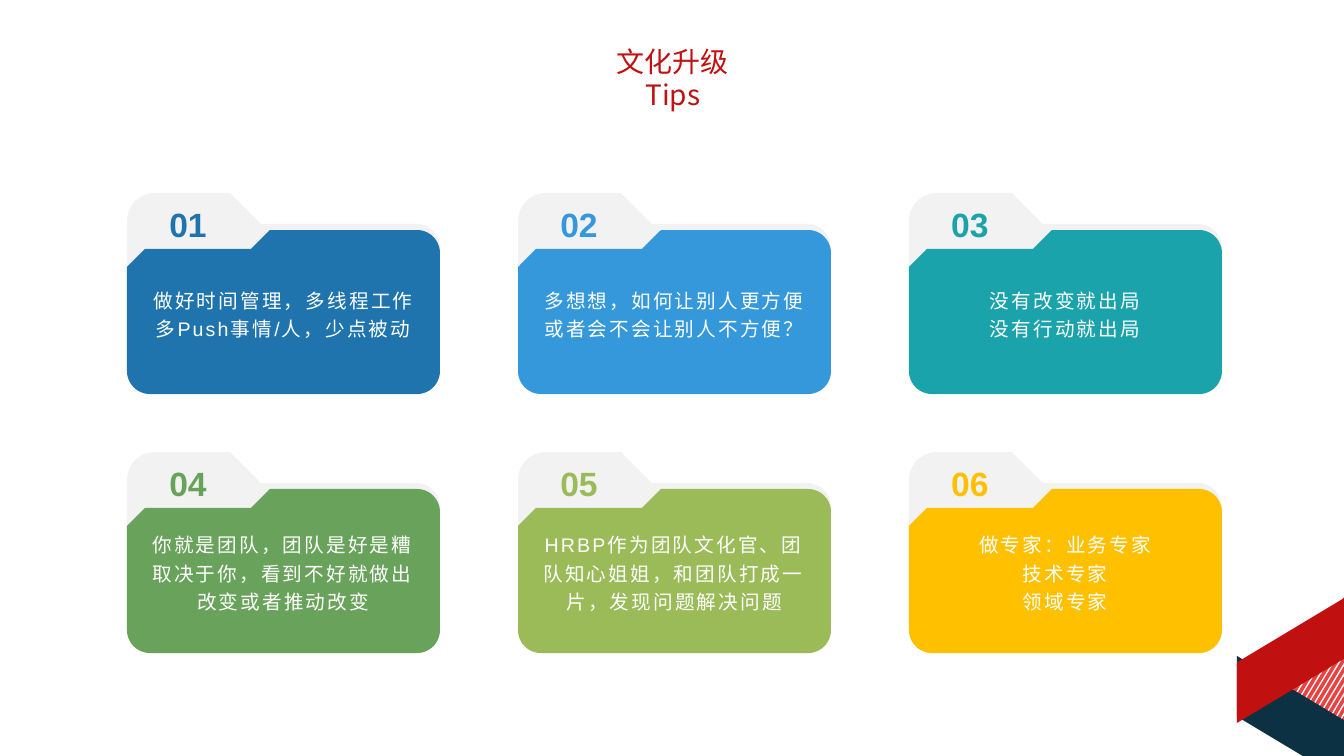
import math

import lxml.etree
import pptx
import pptx.dml.color
import pptx.enum.shapes
import pptx.enum.text
import pptx.oxml.ns
import pptx.util

TITLE = "文化升级\vTips"
TIPS = [
    ("01", "1F74AD", "做好时间管理，多线程工作\n多Push事情/人，少点被动"),
    ("02", "3498DB", "多想想，如何让别人更方便\n或者会不会让别人不方便？"),
    ("03", "1AA3AA", "没有改变就出局\n没有行动就出局"),
    ("04", "69A35B", "你就是团队，团队是好是糟取决于你，看到不好就做出改变或者推动改变"),
    ("05", "9BBB59", "HRBP作为团队文化官、团队知心姐姐，和团队打成一片，发现问题解决问题"),
    ("06", "FFC000", "做专家：业务专家\n技术专家\n领域专家"),
]
RED, NAVY, STRIPE, FOLDER = "C01010", "0C3143", "E84242", "F2F2F2"
LATIN, CJK = "Arial", "Noto Sans CJK SC"

SLIDE_WIDTH, SLIDE_HEIGHT = 1344, 756
COLUMNS = 3
FOLDER_LEFT, FOLDER_TOP = 127, 193
COLUMN_PITCH, ROW_PITCH = 391, 259
BACK = [(0, 0, 28), (103, 0, 0), (134, 31, 0), (313, 31, 24), (313, 201, 23), (0, 201, 23)]
FRONT = [(0, 74, 0), (18, 56, 0), (124, 56, 0), (143, 37, 0),
         (313, 37, 23), (313, 201, 23), (0, 201, 23)]
NUMBER_BOX = (0, 0, 122, 54)
BODY_BOX = (8, 67, 296, 104)
STRIPES = 13
BANDS = [(NAVY, 656, False), (RED, 591, True)]


def px(length):
    return pptx.util.Emu(round(length * 914400 / 100.8))


def color(value):
    return pptx.dml.color.RGBColor.from_string(value)


def paint(shape, fill, line=None):
    shape.shadow.inherit = False
    shape.fill.solid()
    shape.fill.fore_color.rgb = color(fill)
    if line:
        shape.line.color.rgb = color(line)
        shape.line.width = pptx.util.Pt(1)
    else:
        shape.line.fill.background()


def rounded(corners):
    points = []
    for index, (x, y, radius) in enumerate(corners):
        if not radius:
            points.append((x, y))
            continue
        before, after = corners[index - 1], corners[(index + 1) % len(corners)]
        back, ahead = (
            ((end[0] - x) / math.dist(end[:2], (x, y)), (end[1] - y) / math.dist(end[:2], (x, y)))
            for end in (before, after)
        )
        for step in range(13):
            turn = math.pi / 2 * step / 12
            near, far = radius * (1 - math.sin(turn)), radius * (1 - math.cos(turn))
            points.append((x + back[0] * near + ahead[0] * far,
                           y + back[1] * near + ahead[1] * far))
    return points


def outline(points, fill, left=0, top=0, line=None):
    corners = [(px(left + x), px(top + y)) for x, y in points]
    builder = slide.shapes.build_freeform(*corners[0], scale=1.0)
    builder.add_line_segments(corners[1:], close=True)
    paint(builder.convert_to_shape(), fill, line)


def write(shape, text, *, size, fill, font=LATIN, bold=False, spacing=None,
          leading=1.2, anchor=pptx.enum.text.MSO_ANCHOR.MIDDLE, wrap=True):
    frame = shape.text_frame
    frame.auto_size = pptx.enum.text.MSO_AUTO_SIZE.NONE
    frame.word_wrap = wrap
    frame.vertical_anchor = anchor
    frame.text = text
    for paragraph in frame.paragraphs:
        paragraph.alignment = pptx.enum.text.PP_ALIGN.CENTER
        paragraph.line_spacing = leading
        paragraph.space_before = pptx.util.Pt(0)
        for run in paragraph.runs:
            run.font.size = pptx.util.Pt(size)
            run.font.bold = bold
            run.font.color.rgb = color(fill)
            run.font.name = font
            properties = run.font._element
            east_asian = lxml.etree.SubElement(properties, pptx.oxml.ns.qn("a:ea"))
            east_asian.set("typeface", CJK)
            if spacing:
                properties.set("spc", str(round(spacing * 100)))


def text_box(box, left, top, text, **style):
    x, y, width, height = box
    shape = slide.shapes.add_textbox(px(left + x), px(top + y), px(width), px(height))
    write(shape, text, **style)


presentation = pptx.Presentation()
presentation.slide_width, presentation.slide_height = px(SLIDE_WIDTH), px(SLIDE_HEIGHT)
slide = presentation.slides.add_slide(presentation.slide_layouts[5])

title = slide.shapes.title
title.left, title.top, title.width, title.height = px(580), px(39), px(186), px(44)
write(title, TITLE, size=20, fill=RED, font=CJK, leading=pptx.util.Pt(24),
      anchor=pptx.enum.text.MSO_ANCHOR.TOP, wrap=False)

for index in range(STRIPES):
    tip, foot = 598 + 9.9 * index, 1265 + 6.05 * index
    outline([(SLIDE_WIDTH, tip), (foot, 728), (foot + 2, 729), (SLIDE_WIDTH, tip + 4)],
            STRIPE, line=STRIPE)

for fill, top, mirrored in BANDS:
    length, depth = 132, 119
    band = slide.shapes.add_shape(
        pptx.enum.shapes.MSO_SHAPE.PARALLELOGRAM,
        px(1237 + (depth - length) / 2), px(top + (length - depth) / 2), px(length), px(depth))
    band.adjustments[0] = 0.6
    band.rotation = 90
    if mirrored:
        band._element.spPr.xfrm.set("flipV", "1")
    paint(band, fill)

for index, (number, fill, body) in enumerate(TIPS):
    row, column = divmod(index, COLUMNS)
    left, top = FOLDER_LEFT + column * COLUMN_PITCH, FOLDER_TOP + row * ROW_PITCH
    outline(rounded(BACK), FOLDER, left, top)
    outline(rounded(FRONT), fill, left, top)
    text_box(BODY_BOX, left, top, body, size=14, fill="FFFFFF", spacing=1.5)
    text_box(NUMBER_BOX, left, top, number, size=24, fill=fill, bold=True)

presentation.save("out.pptx")
